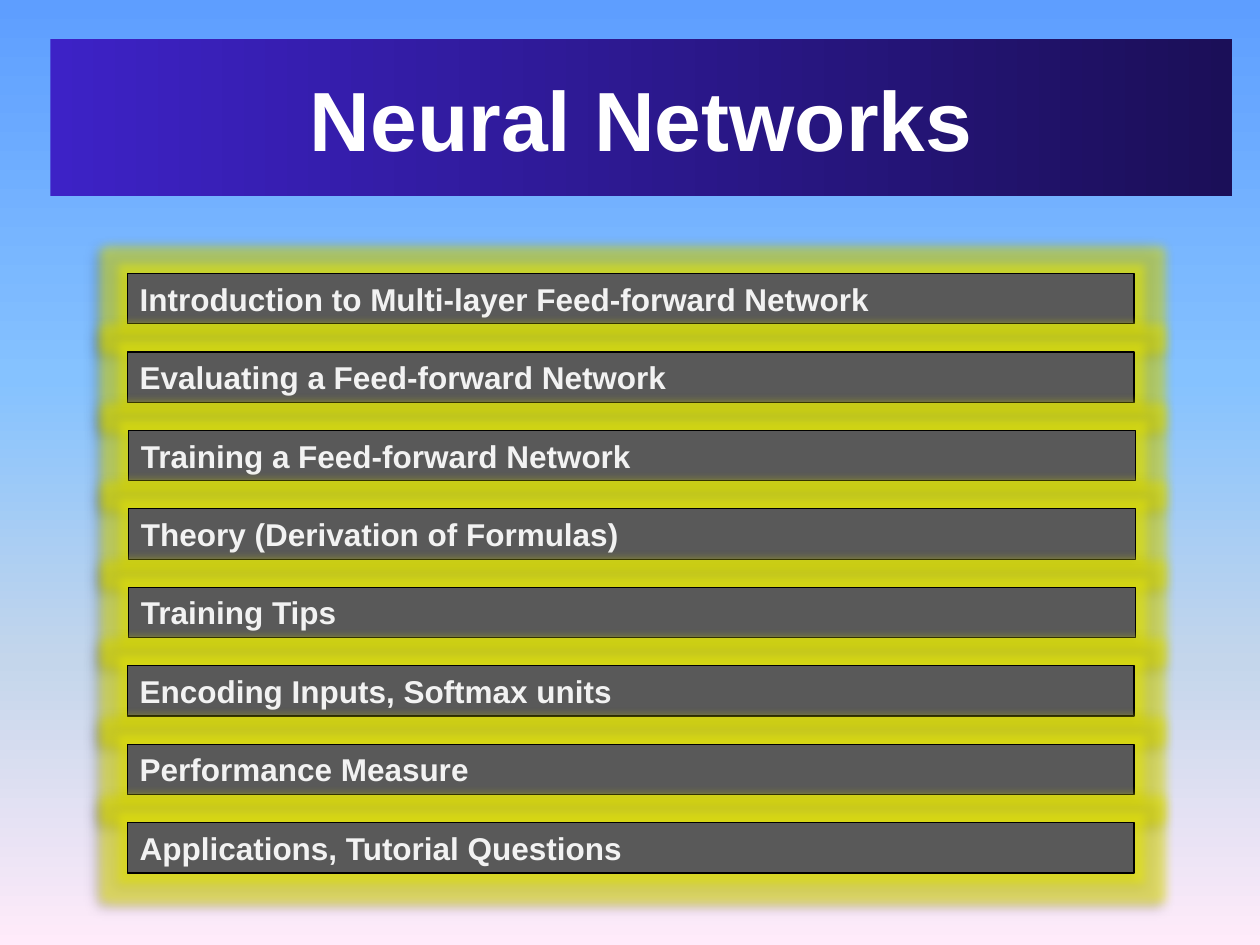
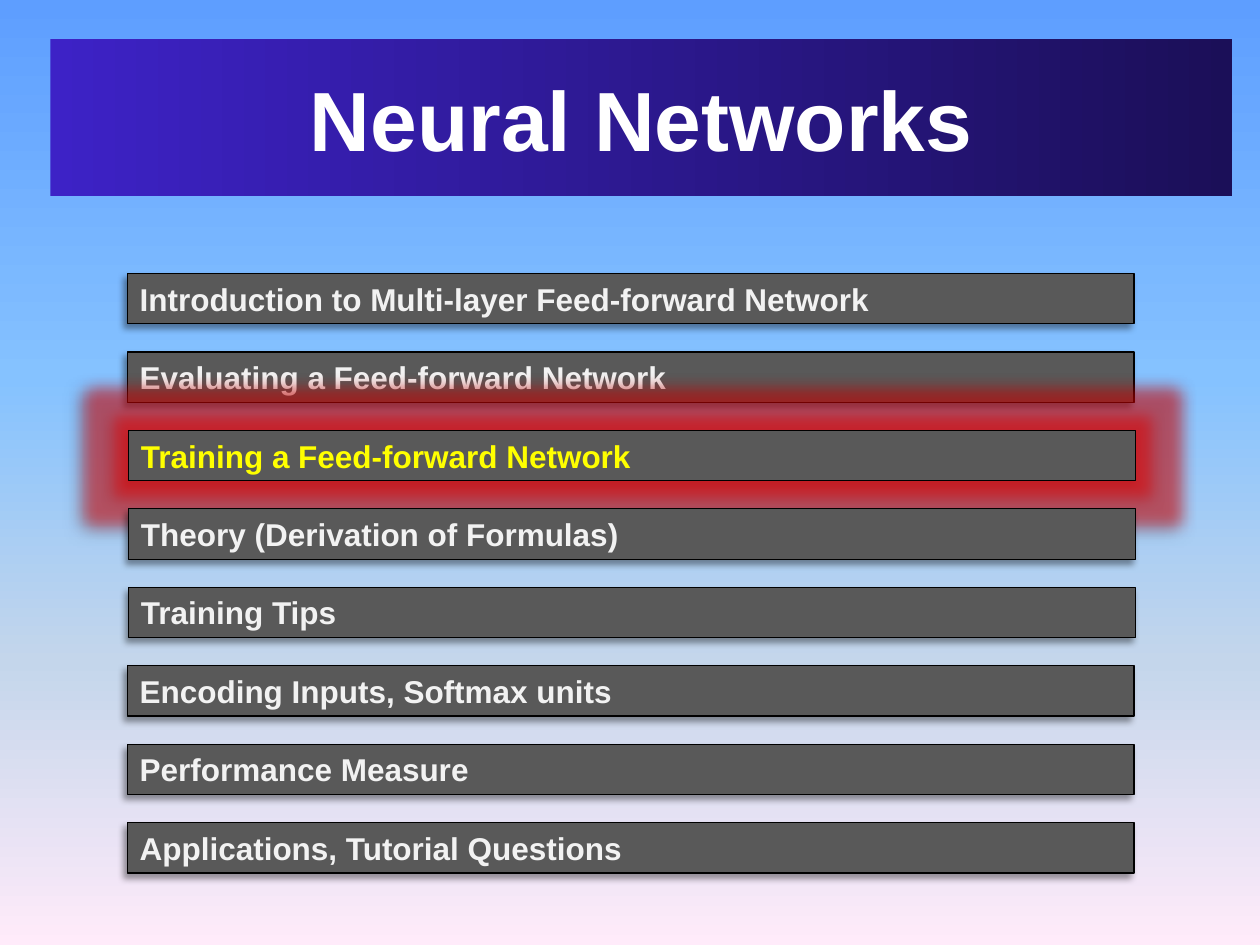
"""Build two Neural Networks agenda slides, the second highlighting one topic."""
from dataclasses import dataclass
from typing import Optional

from lxml import etree
from pptx import Presentation
from pptx.dml.color import RGBColor
from pptx.enum.shapes import MSO_SHAPE
from pptx.enum.text import MSO_ANCHOR, MSO_AUTO_SIZE, PP_ALIGN
from pptx.oxml.ns import qn
from pptx.util import Inches, Pt

RECTANGLE = MSO_SHAPE.RECTANGLE
MIDDLE, TOP = MSO_ANCHOR.MIDDLE, MSO_ANCHOR.TOP
LEFT, CENTER = PP_ALIGN.LEFT, PP_ALIGN.CENTER
FIT_SHAPE = MSO_AUTO_SIZE.SHAPE_TO_FIT_TEXT
TITLE_ONLY = 5
FONT = "Arial"
COLORS = {
    "title": "FFFFFF",
    "bar": "595959",
    "line": "000000",
    "text": "F2F2F2",
    "highlight": "FFFF00",
    "yellow_glow": "EEEE00",
    "red_glow": "E60000",
}
SKY_STOPS = ((0, "5E9EFF"), (40, "85C2FF"), (70, "C4D6EB"), (100, "FFEBFA"))
TITLE_STOPS = ((0, "3D22C6"), (100, "1B0F58"))
FIRST_TOP, LAST_TOP = 2.17, 6.53
BAR_WIDTH, BAR_HEIGHT = 7.99, 0.4
GLOW_ALPHA, SHADOW_ALPHA = 50, 40


@dataclass(frozen=True)
class Topic:
    text: str
    left: float = 1.01


@dataclass(frozen=True)
class Glow:
    color: str
    radius: int


@dataclass(frozen=True)
class Agenda:
    bar_glow: Optional[Glow] = None
    highlighted: Optional[int] = None
    highlight_glow: Optional[Glow] = None


TOPICS = (
    Topic("Introduction to Multi-layer Feed-forward Network"),
    Topic("Evaluating a Feed-forward Network"),
    Topic("Training a Feed-forward Network", 1.02),
    Topic("Theory (Derivation of Formulas)", 1.02),
    Topic("Training Tips", 1.02),
    Topic("Encoding Inputs, Softmax units"),
    Topic("Performance Measure"),
    Topic("Applications, Tutorial Questions"),
)
AGENDAS = (
    Agenda(bar_glow=Glow("yellow_glow", 11)),
    Agenda(highlighted=2, highlight_glow=Glow("red_glow", 17)),
)


def color(name: str) -> RGBColor:
    return RGBColor.from_string(COLORS[name])


def add_color(parent, value: str, alpha: int = 100) -> None:
    element = etree.SubElement(parent, qn("a:srgbClr"), val=value)
    if alpha < 100:
        etree.SubElement(element, qn("a:alpha"), val=str(alpha * 1000))


def set_gradient(fill, holder, stops, angle: int) -> None:
    fill.gradient()
    fill.gradient_angle = angle
    stop_list = next(holder.iter(qn("a:gsLst")))
    for stop in list(stop_list):
        stop_list.remove(stop)
    for position, value in stops:
        stop = etree.SubElement(stop_list, qn("a:gs"), pos=str(position * 1000))
        add_color(stop, value)


def add_effects(shape, glow: Optional[Glow]) -> None:
    shape.shadow.inherit = False
    effects = shape.element.spPr.find(qn("a:effectLst"))
    if glow:
        element = etree.SubElement(effects, qn("a:glow"), rad=str(Pt(glow.radius)))
        add_color(element, COLORS[glow.color], GLOW_ALPHA)
    shadow = etree.SubElement(
        effects, qn("a:outerShdw"), blurRad=str(Pt(4)), dist=str(Pt(3)),
        dir=str(135 * 60000), algn="tr", rotWithShape="0")
    add_color(shadow, COLORS["line"], SHADOW_ALPHA)


def write_text(shape, text: str, size: int, color_name: str, alignment, anchor) -> None:
    frame = shape.text_frame
    frame.text = text
    frame.word_wrap = True
    frame.vertical_anchor = anchor
    paragraph = frame.paragraphs[0]
    paragraph.alignment = alignment
    paragraph.font.name = FONT
    paragraph.font.size = Pt(size)
    paragraph.font.bold = True
    paragraph.font.color.rgb = color(color_name)


def add_title(slide, text: str) -> None:
    title = slide.shapes.title
    title.left, title.top = Inches(0.4), Inches(0.31)
    title.width, title.height = Inches(9.38), Inches(1.25)
    set_gradient(title.fill, title.element.spPr, TITLE_STOPS, 0)
    write_text(title, text, 48, "title", CENTER, MIDDLE)


def add_bar(slide, topic: Topic, top: float, text_color: str, glow: Optional[Glow]) -> None:
    bar = slide.shapes.add_shape(
        RECTANGLE, Inches(topic.left), Inches(top), Inches(BAR_WIDTH), Inches(BAR_HEIGHT))
    bar.fill.solid()
    bar.fill.fore_color.rgb = color("bar")
    bar.line.color.rgb = color("line")
    bar.line.width = Pt(0.75)
    add_effects(bar, glow)
    write_text(bar, topic.text, 18, text_color, LEFT, TOP)
    bar.text_frame.auto_size = FIT_SHAPE


def add_agenda(presentation, agenda: Agenda) -> None:
    slide = presentation.slides.add_slide(presentation.slide_layouts[TITLE_ONLY])
    add_title(slide, "Neural Networks")
    pitch = (LAST_TOP - FIRST_TOP) / (len(TOPICS) - 1)
    for index, topic in enumerate(TOPICS):
        highlighted = index == agenda.highlighted
        text_color = "highlight" if highlighted else "text"
        glow = agenda.highlight_glow if highlighted else agenda.bar_glow
        add_bar(slide, topic, FIRST_TOP + index * pitch, text_color, glow)


def main() -> None:
    presentation = Presentation()
    presentation.slide_width, presentation.slide_height = Inches(10), Inches(7.5)
    master = presentation.slide_master
    set_gradient(master.background.fill, master.element, SKY_STOPS, 270)
    for agenda in AGENDAS:
        add_agenda(presentation, agenda)
    presentation.save("out.pptx")


if __name__ == "__main__":
    main()
